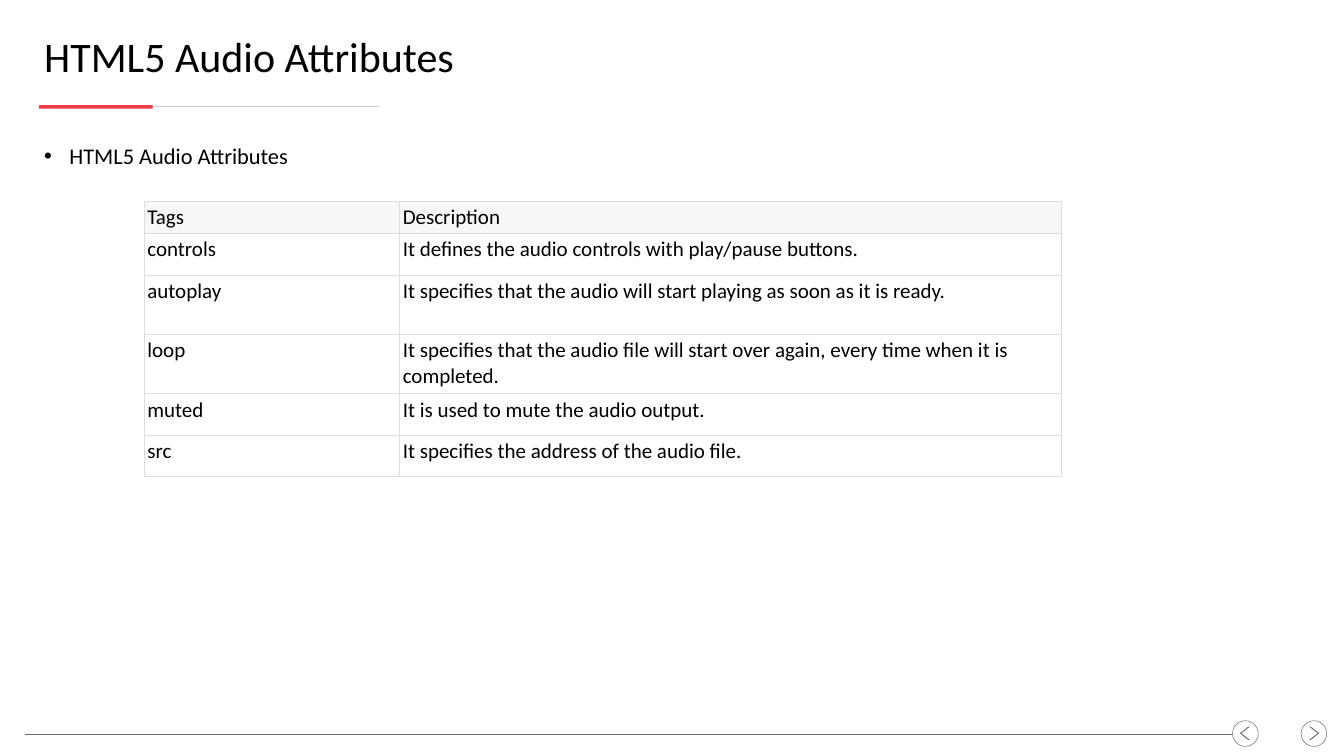
"""Build the HTML5 audio attributes slide."""
import lxml.etree
import pptx
import pptx.dml.color
import pptx.enum.shapes
import pptx.enum.text
import pptx.oxml
import pptx.oxml.ns
import pptx.util

Pt = pptx.util.Pt
SHAPES = pptx.enum.shapes.MSO_SHAPE
ANCHORS = pptx.enum.text.MSO_ANCHOR

HEADING = "HTML5 Audio Attributes"
BULLET = "HTML5 Audio Attributes"
ATTRIBUTES = [
    ("Tags", "Description"),
    ("controls", "It defines the audio controls with play/pause buttons."),
    ("autoplay", "It specifies that the audio will start playing as soon as it is ready."),
    ("loop", "It specifies that the audio file will start over again, every time when it is completed."),
    ("muted", "It is used to mute the audio output."),
    ("src", "It specifies the address of the audio file."),
]
COLUMN_WIDTHS = (365, 946)
ROW_HEIGHTS = (46, 59, 85, 85, 59, 59)
RULES = [
    ((56, 152.6), (541.4, 152.6), "rule", 1.5),
    ((35.3, 1048.3), (1761, 1048.3), "control", 0.75),
]
ACCENT_BOX = (56, 150.2, 162, 5)
ARROWS = [(1859, 11.6, 0), (1761, 10.2, 180)]
ARROW_TOP, ARROW_SIZE = 1029.6, 36.7
CHEVRON_TOP, CHEVRON_WIDTH, CHEVRON_HEIGHT = 1038.2, 14.4, 18.7

THEME = {
    "font": "Calibri",
    "sizes": {"heading": 60, "bullet": 32, "cell": 30},
    "colors": {
        "text": "000000", "accent": "F23A43", "rule": "CBD0D7", "control": "6C6C6C",
        "header": "F7F7F7", "body": "FFFFFF", "border": "DDDDDD",
    },
}


def color(role):
    return pptx.dml.color.RGBColor.from_string(THEME["colors"][role])


def set_values(target, values):
    for name, value in values.items():
        setattr(target, name, value)


def style_text(paragraph, role):
    paragraph.alignment = pptx.enum.text.PP_ALIGN.LEFT
    set_values(paragraph.font, {"name": THEME["font"], "size": Pt(THEME["sizes"][role])})
    paragraph.font.color.rgb = color("text")


def add_shape(slide, kind, box, fill=None, line=None):
    shape = slide.shapes.add_shape(kind, *map(Pt, box))
    shape.shadow.inherit = False
    if fill:
        shape.fill.solid()
        shape.fill.fore_color.rgb = color(fill)
    else:
        shape.fill.background()
    if line:
        shape.line.color.rgb = color(line)
        shape.line.width = Pt(0.75)
    else:
        shape.line.fill.background()
    return shape


def add_rule(slide, start, end, role, width):
    rule = slide.shapes.add_connector(
        pptx.enum.shapes.MSO_CONNECTOR.STRAIGHT, *map(Pt, start + end))
    rule.line.color.rgb = color(role)
    rule.line.width = Pt(width)
    lxml.etree.SubElement(rule._element.spPr, pptx.oxml.ns.qn("a:effectLst"))


def add_arrow(slide, left, inset, rotation):
    add_shape(slide, SHAPES.OVAL, (left, ARROW_TOP, ARROW_SIZE, ARROW_SIZE), line="control")
    chevron = add_shape(
        slide, SHAPES.CHEVRON,
        (left + inset, CHEVRON_TOP, CHEVRON_WIDTH, CHEVRON_HEIGHT), fill="control")
    chevron.adjustments[0] = 0.84
    chevron.rotation = rotation


def add_heading(slide):
    heading = slide.shapes.title
    set_values(heading, {"left": Pt(56), "top": Pt(42.5), "width": Pt(1804), "height": Pt(75)})
    set_values(heading.text_frame, {
        "text": HEADING, "word_wrap": True, "vertical_anchor": ANCHORS.MIDDLE,
        "auto_size": pptx.enum.text.MSO_AUTO_SIZE.NONE,
    })
    style_text(heading.text_frame.paragraphs[0], "heading")


def add_bullet(slide):
    frame = slide.shapes.add_textbox(*map(Pt, (56, 189.4, 1680, 783))).text_frame
    set_values(frame, {"word_wrap": True, "text": BULLET})
    paragraph = frame.paragraphs[0]
    set_values(paragraph, {"line_spacing": 1.25, "space_after": Pt(12)})
    properties = paragraph._p.get_or_add_pPr()
    properties.set("marL", str(Pt(36)))
    properties.set("indent", str(-Pt(36)))
    for tag, name, value in (("a:buFont", "typeface", "Arial"), ("a:buChar", "char", "•")):
        lxml.etree.SubElement(properties, pptx.oxml.ns.qn(tag)).set(name, value)
    style_text(paragraph, "bullet")


def border_cell(cell):
    properties = cell._tc.get_or_add_tcPr()
    for index, side in enumerate(("lnL", "lnR", "lnT", "lnB")):
        properties.insert(index, pptx.oxml.parse_xml(
            f'<a:{side} {pptx.oxml.ns.nsdecls("a")} w="{Pt(0.75)}"><a:solidFill>'
            f'<a:srgbClr val="{THEME["colors"]["border"]}"/></a:solidFill></a:{side}>'))


def add_attribute_table(slide):
    box = (205.5, 287.5, sum(COLUMN_WIDTHS), sum(ROW_HEIGHTS))
    table = slide.shapes.add_table(
        len(ATTRIBUTES), len(COLUMN_WIDTHS), *map(Pt, box)).table
    for column, width in zip(table.columns, COLUMN_WIDTHS):
        column.width = Pt(width)
    for row, height, texts in zip(table.rows, ROW_HEIGHTS, ATTRIBUTES):
        row.height = Pt(height)
        is_header = texts is ATTRIBUTES[0]
        for cell, text in zip(row.cells, texts):
            set_values(cell, {
                "text": text,
                "vertical_anchor": ANCHORS.BOTTOM if is_header else ANCHORS.TOP,
                "margin_left": Pt(5), "margin_right": Pt(5),
                "margin_top": Pt(5), "margin_bottom": Pt(5),
            })
            cell.fill.solid()
            cell.fill.fore_color.rgb = color("header" if is_header else "body")
            border_cell(cell)
            style_text(cell.text_frame.paragraphs[0], "cell")


def main():
    deck = pptx.Presentation()
    set_values(deck, {"slide_width": Pt(1920.24), "slide_height": Pt(1080)})
    slide = deck.slides.add_slide(deck.slide_layouts[5])
    for rule in RULES:
        add_rule(slide, *rule)
    add_shape(slide, SHAPES.RECTANGLE, ACCENT_BOX, fill="accent")
    for arrow in ARROWS:
        add_arrow(slide, *arrow)
    add_heading(slide)
    add_bullet(slide)
    add_attribute_table(slide)
    deck.save("out.pptx")


if __name__ == "__main__":
    main()
